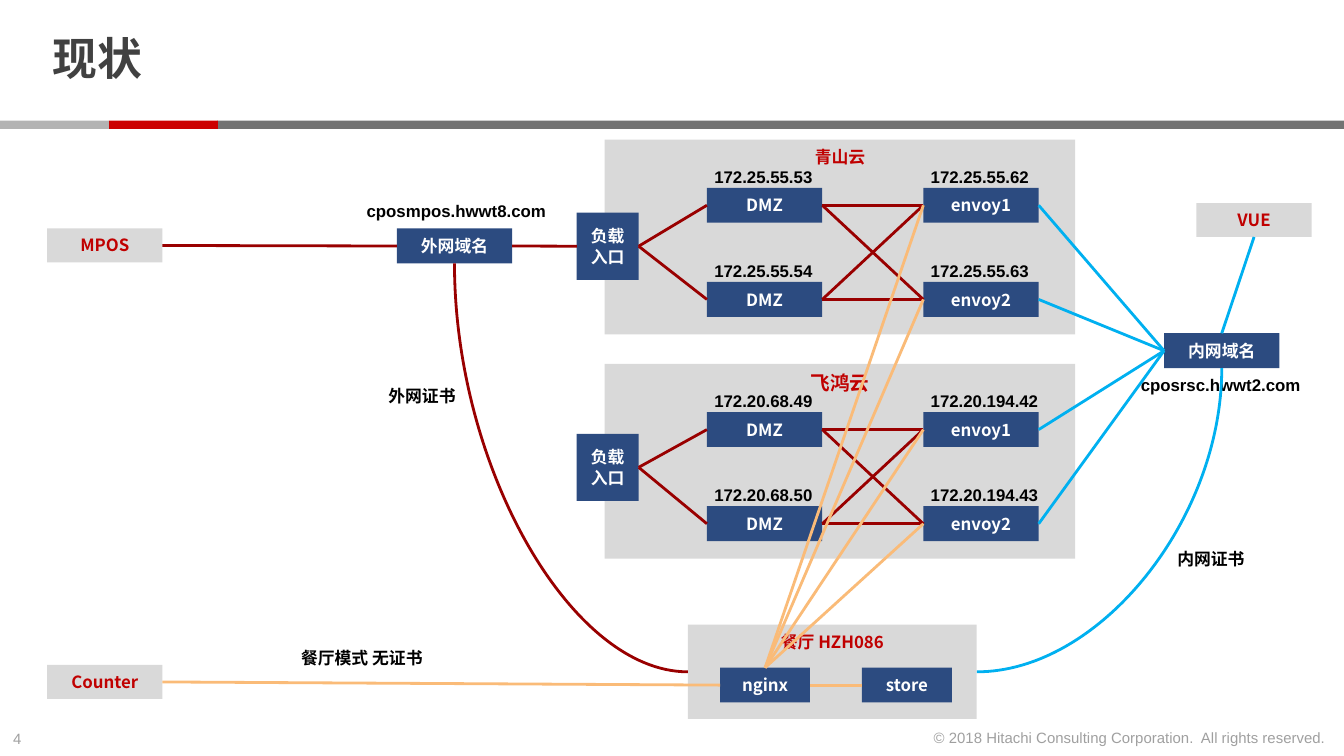
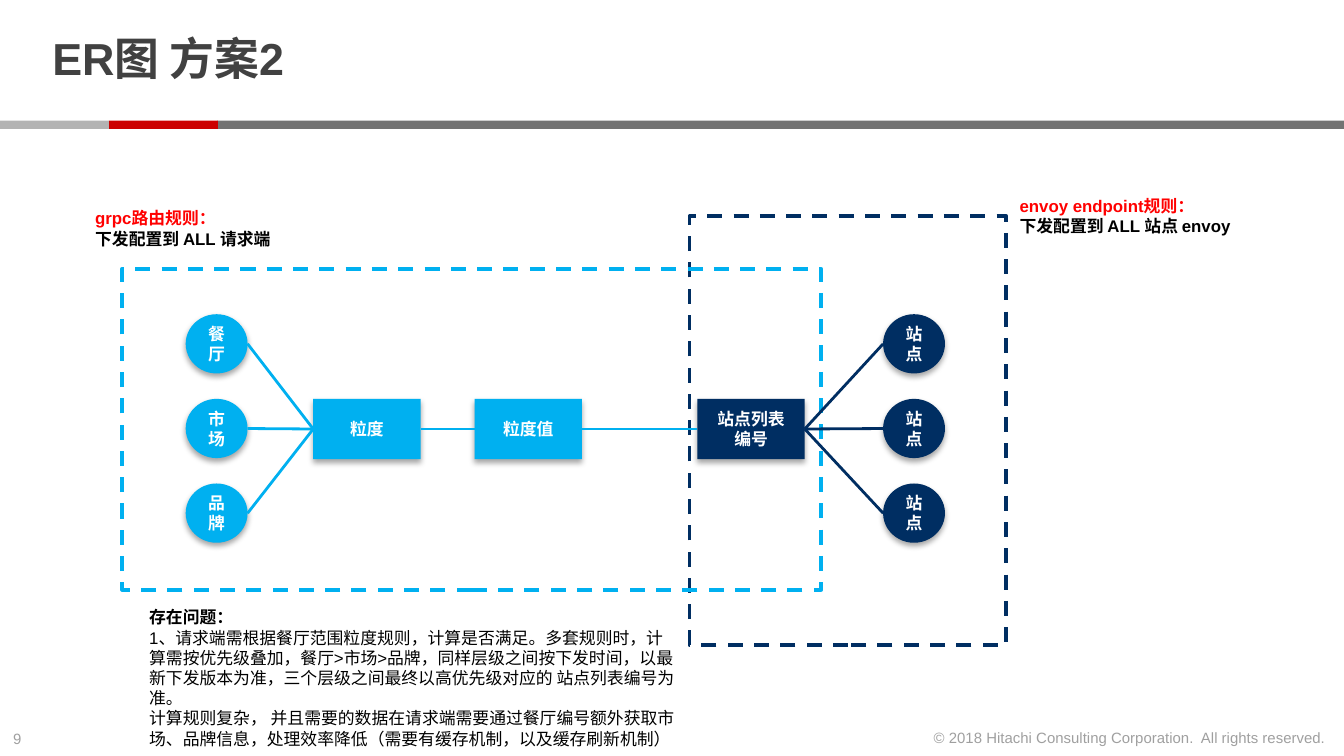
from dataclasses import dataclass
from itertools import product

from lxml.etree import SubElement
from pptx import Presentation
from pptx.dml.color import RGBColor
from pptx.enum.dml import MSO_LINE
from pptx.enum.shapes import MSO_CONNECTOR as Wire, MSO_SHAPE as Form
from pptx.enum.text import MSO_ANCHOR as Anchor, MSO_AUTO_SIZE as Fit, PP_ALIGN as Align
from pptx.oxml.ns import qn
from pptx.shapes.autoshape import Shape
from pptx.shapes.connector import Connector
from pptx.slide import Slide
from pptx.util import Cm, Pt

WHITE = RGBColor(0xFF, 0xFF, 0xFF)
BLACK = RGBColor(0, 0, 0)
INK = RGBColor(0x41, 0x41, 0x41)
STEEL = RGBColor(0x73, 0x73, 0x73)
BRIGHT = RGBColor(0xCC, 0, 0)
SILVER = RGBColor(0xB3, 0xB3, 0xB3)
PALE = RGBColor(0xD9, 0xD9, 0xD9)
RUBY = RGBColor(0xC0, 0, 0)
DARK = RGBColor(0x99, 0, 0)
RED = RGBColor(0xFF, 0, 0)
BLUE = RGBColor(0x2C, 0x4B, 0x80)
NAVY = RGBColor(0, 0x2E, 0x62)
SKY = RGBColor(0, 0xB0, 0xF0)
PEACH = RGBColor(0xFA, 0xBB, 0x78)
LATIN = "Arial"
HAN = "Noto Sans CJK SC"
RIGHTS = "© 2018 Hitachi Consulting Corporation.  All rights reserved."
TOP, LEFT, BOTTOM, RIGHT = range(4)


@dataclass(frozen=True)
class Box:
    x: float
    y: float
    w: float
    h: float


@dataclass(frozen=True)
class Words:
    text: str
    color: RGBColor = BLACK
    bold: bool = True
    size: float = 9


@dataclass(frozen=True)
class Cloud:
    name: str
    size: float
    top: float
    gate: float
    zones: tuple[str, str]
    envoys: tuple[str, str]


@dataclass(frozen=True)
class Fan:
    x: float
    names: tuple[str, str, str]
    color: RGBColor


CLOUDS = (
    Cloud("青山云", 9, 2.64, 4.02, ("172.25.55.53", "172.25.55.54"),
          ("172.25.55.62", "172.25.55.63")),
    Cloud("飞鸿云", 10.5, 6.88, 8.2, ("172.20.68.49", "172.20.68.50"),
          ("172.20.194.42", "172.20.194.43")),
)
LABELS = (
    ("cposmpos.hwwt8.com", Box(6.68, 3.66, 3.94, 0.64)),
    ("cposrsc.hwwt2.com", Box(21.31, 6.96, 3.56, 0.64)),
    ("餐厅模式 无证书", Box(5.44, 12.12, 2.95, 0.64)),
    ("外网证书", Box(7.09, 7.16, 1.8, 0.64)),
    ("内网证书", Box(22, 10.24, 1.8, 0.64)),
)
NOTES = (
    (Box(19.02, 3.58, 4.57, 1.02), (
        Words("envoy endpoint规则：", RED),
        Words("下发配置到 ALL 站点 envoy"))),
    (Box(2.57, 11.35, 10.44, 2.95), (
        Words("存在问题："),
        Words("1、请求端需根据餐厅范围粒度规则，计算是否满足。多套规则时，"
              "计算需按优先级叠加，餐厅>市场>品牌，同样层级之间按下发时间，"
              "以最新下发版本为准，三个层级之间最终以高优先级对应的 "
              "站点列表编号为准。", bold=False),
        Words("计算规则复杂， 并且需要的数据在请求端需要通过餐厅编号额外获取"
              "市场、品牌信息，处理效率降低（需要有缓存机制，以及缓存刷新机制）",
              bold=False))),
    (Box(1.55, 3.81, 3.89, 1.02), (
        Words("grpc路由规则：", RED),
        Words("下发配置到 ALL 请求端"))),
)


def write(shape: Shape, lines: tuple[Words, ...], font: str, align: Align) -> None:
    frame = shape.text_frame
    for i, words in enumerate(lines):
        para = frame.add_paragraph() if i else frame.paragraphs[0]
        para.alignment = align
        run = para.add_run()
        run.text = words.text
        run.font.size = Pt(words.size)
        run.font.bold = words.bold
        run.font.color.rgb = words.color
        run.font.name = font
    for props in shape.element.iter(qn("a:rPr")):
        SubElement(props, qn("a:ea"), typeface=HAN)


def text(slide: Slide, box: Box, *lines: Words, wrap: bool = False,
         align: Align = Align.LEFT) -> Shape:
    shape = slide.shapes.add_textbox(Cm(box.x), Cm(box.y), Cm(box.w), Cm(box.h))
    shape.text_frame.word_wrap = wrap
    shape.text_frame.auto_size = Fit.SHAPE_TO_FIT_TEXT
    write(shape, lines, LATIN, align)
    return shape


def block(slide: Slide, box: Box, fill: RGBColor, *lines: Words,
          form: Form = Form.RECTANGLE, anchor: Anchor = Anchor.MIDDLE) -> Shape:
    shape = slide.shapes.add_shape(form, Cm(box.x), Cm(box.y), Cm(box.w), Cm(box.h))
    shape.shadow.inherit = False
    shape.fill.solid()
    shape.fill.fore_color.rgb = fill
    shape.line.fill.background()
    shape.text_frame.word_wrap = True
    shape.text_frame.vertical_anchor = anchor
    write(shape, lines, HAN, Align.CENTER)
    return shape


def panel(slide: Slide, box: Box, name: str, size: float = 9) -> Shape:
    return block(slide, box, PALE, Words(name, RUBY, size=size), anchor=Anchor.TOP)


def node(slide: Slide, box: Box, name: str) -> Shape:
    return block(slide, box, BLUE, Words(name, WHITE))


def raised(slide: Slide, box: Box, fill: RGBColor, *names: str,
           form: Form = Form.RECTANGLE) -> Shape:
    shape = block(slide, box, fill, *(Words(name, WHITE) for name in names), form=form)
    effect = shape.element.spPr.find(qn("a:effectLst"))
    shade = SubElement(effect, qn("a:outerShdw"), blurRad=str(Pt(3.1)),
                       dist=str(Pt(1.8)), dir="5400000", rotWithShape="0")
    color = SubElement(shade, qn("a:srgbClr"), val=str(BLACK))
    SubElement(color, qn("a:alpha"), val="35000")
    return shape


def dashed(slide: Slide, box: Box, color: RGBColor) -> None:
    shape = block(slide, box, WHITE)
    shape.fill.background()
    shape.line.color.rgb = color
    shape.line.width = Pt(2)
    shape.line.dash_style = MSO_LINE.DASH


def spot(shape: Shape, side: int) -> tuple[int, int]:
    mid = shape.left + shape.width // 2
    level = shape.top + shape.height // 2
    return ((mid, shape.top), (shape.left, level),
            (mid, shape.top + shape.height), (shape.left + shape.width, level))[side]


def style(wire: Connector, color: RGBColor) -> None:
    wire.line.color.rgb = color
    wire.line.width = Pt(1.5)
    SubElement(wire.element.spPr, qn("a:effectLst"))


def link(slide: Slide, start: Shape, out: int, stop: Shape, into: int,
         color: RGBColor) -> None:
    wire = slide.shapes.add_connector(Wire.STRAIGHT, *spot(start, out), *spot(stop, into))
    if start.auto_shape_type == Form.RECTANGLE:
        wire.begin_connect(start, out)
    if stop.auto_shape_type == Form.RECTANGLE:
        wire.end_connect(stop, into)
    style(wire, color)


def curve(slide: Slide, start: Shape, stop: Shape, into: int, color: RGBColor) -> None:
    (ax, ay), (bx, by) = spot(start, BOTTOM), spot(stop, into)
    wide, tall = by - ay, abs(bx - ax)
    left, top = (ax + bx - wide) // 2, (ay + by - tall) // 2
    wire = slide.shapes.add_connector(Wire.CURVE, left, top, left + wide, top + tall)
    props = wire.element.spPr
    props.find(qn("a:prstGeom")).set("prst", "curvedConnector2")
    turn = props.find(qn("a:xfrm"))
    turn.set("rot", "16200000" if bx > ax else "5400000")
    if bx > ax:
        turn.set("flipH", "1")
    style(wire, color)


def base(deck: Presentation, title: str, number: str) -> Slide:
    slide = deck.slides.add_slide(deck.slide_layouts[6])
    for x, w, color in ((4.11, 21.29, STEEL), (2.06, 2.06, BRIGHT), (0, 2.06, SILVER)):
        block(slide, Box(x, 2.28, w, 0.16), color)
    for box, words, align in ((Box(0, 13.66, 0.87, 0.6), number, Align.LEFT),
                              (Box(17.28, 13.65, 8.03, 0.6), RIGHTS, Align.RIGHT)):
        foot = text(slide, box, Words(words, INK, False, 8), align=align)
        for color in foot.element.iter(qn("a:srgbClr")):
            SubElement(color, qn("a:alpha"), val="50000")
    head = text(slide, Box(0.74, 0.15, 19.58, 2.03), Words(title, INK, size=24), wrap=True)
    frame = head.text_frame
    frame.auto_size = Fit.NONE
    frame.vertical_anchor = Anchor.MIDDLE
    frame.margin_top = frame.margin_bottom = 0
    frame.paragraphs[0].line_spacing = 0.85
    return slide


def column(slide: Slide, x: float, top: float, names: tuple[str, str],
           hosts: tuple[str, str]) -> list[Shape]:
    made = []
    for i, (name, host) in enumerate(zip(names, hosts)):
        y = top + 0.91 + 1.78 * i
        made.append(node(slide, Box(x, y, 2.18, 0.66), name))
        text(slide, Box(x - 0.11, y - 0.53, 0.18 * len(host) + 0.23, 0.64), Words(host))
    return made


def status(deck: Presentation) -> None:
    slide = base(deck, "现状", "4")
    shop = panel(slide, Box(13, 11.81, 5.46, 1.78), "餐厅 HZH086")
    nginx, store = (node(slide, Box(x, 12.62, 1.7, 0.66), name)
                    for x, name in ((13.61, "nginx"), (16.29, "store")))
    outer, inner = (node(slide, Box(x, y, 2.18, 0.66), name)
                    for x, y, name in ((7.5, 4.32, "外网域名"), (22, 6.3, "内网域名")))
    mpos, till, vue = (panel(slide, Box(x, y, 2.18, 0.64), name) for x, y, name in
                       ((0.89, 4.32, "MPOS"), (0.89, 12.57, "Counter"), (22.61, 3.84, "VUE")))
    for words, box in LABELS:
        text(slide, box, Words(words))

    gates, envoys = [], []
    for cloud in CLOUDS:
        panel(slide, Box(11.43, cloud.top, 8.89, 3.68), cloud.name, cloud.size)
        gate = node(slide, Box(10.9, cloud.gate, 1.17, 1.27), "负载入口")
        zones = column(slide, 13.36, cloud.top, ("DMZ", "DMZ"), cloud.zones)
        ends = column(slide, 17.45, cloud.top, ("envoy1", "envoy2"), cloud.envoys)
        for zone in zones:
            link(slide, zone, LEFT, gate, RIGHT, DARK)
        for end, zone in product(ends, zones):
            link(slide, end, LEFT, zone, RIGHT, DARK)
        gates.append(gate)
        envoys += ends

    link(slide, mpos, RIGHT, outer, LEFT, DARK)
    link(slide, gates[0], LEFT, outer, RIGHT, DARK)
    curve(slide, outer, shop, LEFT, DARK)
    curve(slide, inner, shop, RIGHT, SKY)
    link(slide, vue, BOTTOM, inner, TOP, SKY)
    link(slide, till, RIGHT, nginx, LEFT, PEACH)
    link(slide, nginx, RIGHT, store, LEFT, PEACH)
    for envoy in envoys:
        link(slide, envoy, RIGHT, inner, LEFT, SKY)
        link(slide, envoy, LEFT, nginx, TOP, PEACH)


def scheme(deck: Presentation) -> None:
    slide = base(deck, "ER图 方案2", "9")
    dashed(slide, Box(13.03, 4.09, 5.99, 8.1), NAVY)
    dashed(slide, Box(2.31, 5.08, 13.21, 6.07), SKY)
    grain, value, sites = (
        raised(slide, Box(x, 7.54, 2.03, 1.14), color, *names) for x, color, names in
        ((5.92, SKY, ("粒度",)), (8.97, SKY, ("粒度值",)),
         (13.18, NAVY, ("站点列表", "编号"))))
    fans = (
        (Fan(3.51, ("餐厅", "市场", "品牌"), SKY), grain, RIGHT, LEFT),
        (Fan(16.69, ("站点", "站点", "站点"), NAVY), sites, LEFT, RIGHT),
    )
    for fan, hub, out, into in fans:
        for i, name in enumerate(fan.names):
            disc = raised(slide, Box(fan.x, 5.94 + 1.6 * i, 1.17, 1.12), fan.color, name,
                          form=Form.FLOWCHART_CONNECTOR)
            link(slide, disc, out, hub, into, fan.color)
    link(slide, value, LEFT, grain, RIGHT, SKY)
    link(slide, value, RIGHT, sites, LEFT, SKY)
    for box, lines in NOTES:
        text(slide, box, *lines, wrap=True)


def main() -> None:
    deck = Presentation()
    deck.slide_width, deck.slide_height = Cm(25.4), Cm(14.29)
    status(deck)
    scheme(deck)
    deck.save("out.pptx")


if __name__ == "__main__":
    main()
